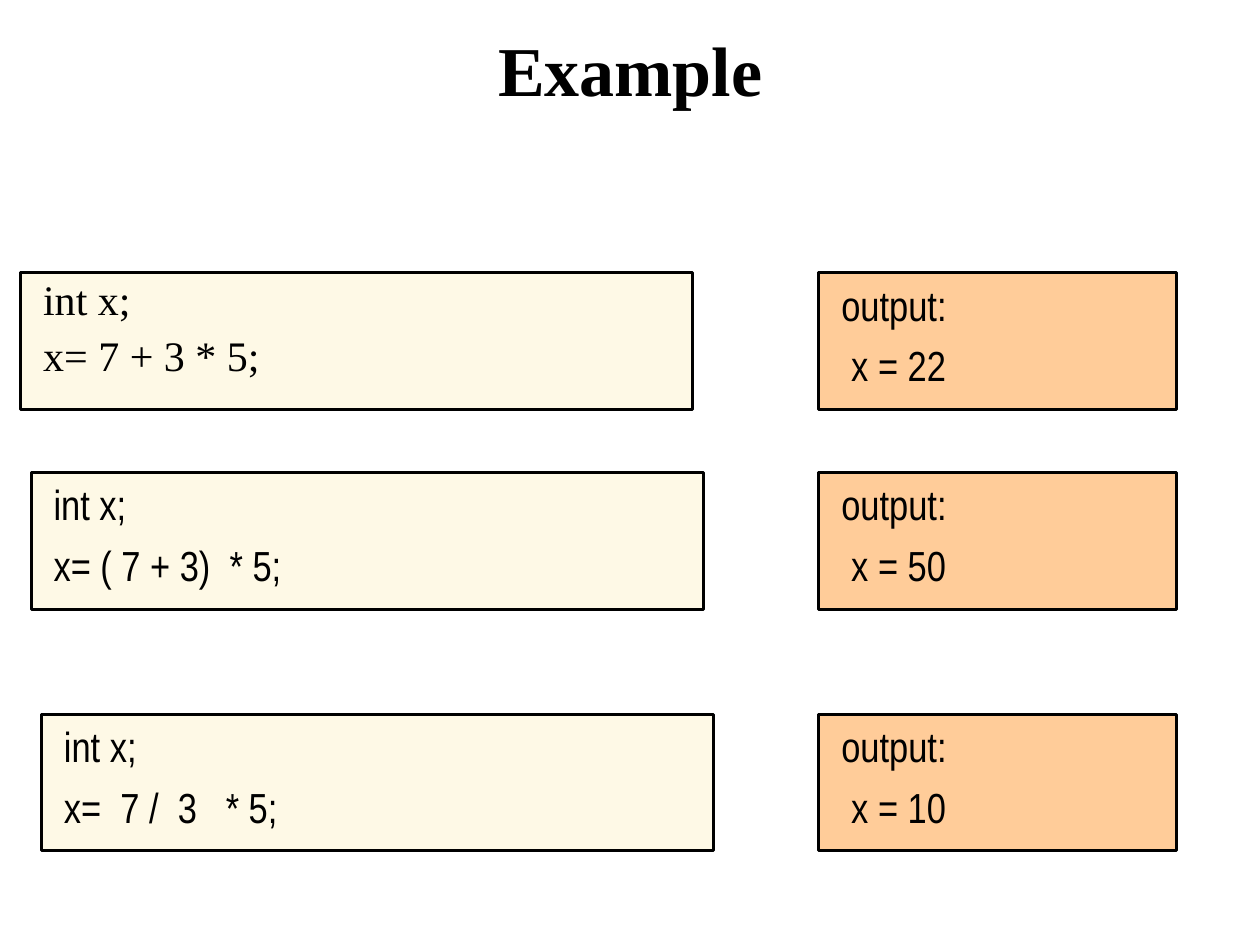
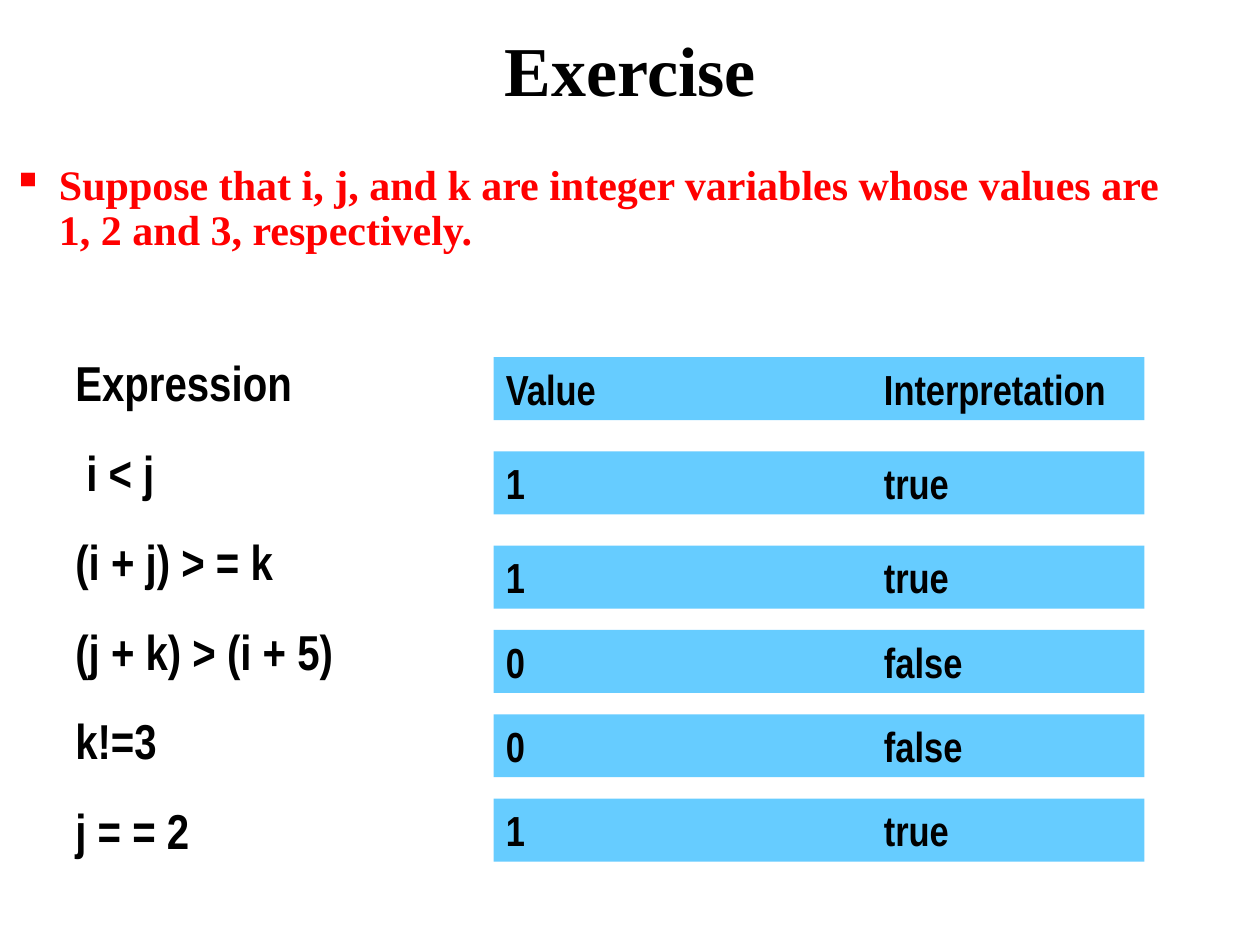
"""Build two slides on C operators: worked samples and an exercise."""
from itertools import accumulate

from lxml.etree import SubElement as Sub
from pptx import Presentation
from pptx.dml.color import RGBColor as Rgb
from pptx.enum.shapes import MSO_SHAPE as Shape
from pptx.enum.text import MSO_ANCHOR as Anchor, PP_ALIGN as Align
from pptx.oxml.ns import qn
from pptx.util import Cm, Pt

HUES = {"ink": "000000", "code": "FEF9E6", "result": "FFCC99",
        "row": "66CCFF", "alert": "FF0000"}
SERIF, NARROW = "Times New Roman", "Arial Narrow"
HEAD = {"name": SERIF, "size": Pt(40), "bold": True}
PLAIN = {"name": NARROW, "size": Pt(24), "bold": False}
STRONG = {**PLAIN, "bold": True}
TITLE_BOX = (0.64, 0, 24.13, 2.75)
PAD = 0.2


def tint(hue):
    """Return the named colour."""
    return Rgb.from_string(HUES[hue])


def apply(item, look):
    """Set each format value on the item."""
    for key, value in look.items():
        setattr(item, key, value)


def write(frame, lines, font, hue="ink", gap=0, lead=1.0, align=Align.LEFT,
          anchor=Anchor.TOP, indents=None, tab=None, mark=None):
    """Fill a frame with lines in one style."""
    apply(frame, {"word_wrap": True, "vertical_anchor": anchor})
    for i, line in enumerate(lines):
        para = frame.paragraphs[0] if i == 0 else frame.add_paragraph()
        apply(para, {"alignment": align, "line_spacing": lead,
                     "space_before": Pt(gap if i else 0)})
        props = para._p.get_or_add_pPr()
        if indents:
            props.set("marL", str(Cm(indents[i])))
        if mark:
            props.set("indent", str(-Cm(indents[i])))
            Sub(Sub(props, qn("a:buClr")), qn("a:srgbClr"), val=HUES[hue])
            Sub(props, qn("a:buChar"), char=mark)
        if tab:
            stops = Sub(props, qn("a:tabLst"))
            Sub(stops, qn("a:tab"), pos=str(Cm(tab)), algn="l")
        run = para.add_run()
        run.text = line
        apply(run.font, font)
        run.font.color.rgb = tint(hue)


def label(slide, box, lines, font, **style):
    """Add a text box."""
    area = slide.shapes.add_textbox(*map(Cm, box))
    write(area.text_frame, lines, font, **style)


def panel(slide, box, fill, lines, font, edge=None, **style):
    """Add a filled box of text, with an edge if one is given."""
    area = slide.shapes.add_shape(Shape.RECTANGLE, *map(Cm, box))
    area.shadow.inherit = False
    area.fill.solid()
    area.fill.fore_color.rgb = tint(fill)
    if edge:
        area.line.color.rgb = tint("ink")
        area.line.width = Pt(edge)
    else:
        area.line.fill.background()
    write(area.text_frame, lines, font, **style)


def start(deck, title):
    """Add a blank slide with its title."""
    slide = deck.slides.add_slide(deck.slide_layouts[6])
    label(slide, TITLE_BOX, [title], HEAD, align=Align.CENTER, anchor=Anchor.MIDDLE)
    return slide


def sample(slide, box, shift, code, result, font, lead):
    """Place a code panel and its output panel in the box."""
    left, top, width, height = box
    panel(slide, (left + shift, top, 13.55, height), "code", ["int x;", code],
          font, edge=1.75, gap=6, lead=lead, indents=(PAD, PAD))
    panel(slide, (left + width - 7.2, top, 7.2, height), "result",
          ["output:", f"x = {result}"], PLAIN, edge=1.75, gap=6,
          indents=(PAD, 2 * PAD))


def answers(slide, box, rows, steps):
    """Stack the answer bands down the box, one step apart."""
    left, top, width, height = box
    for pair, down in zip(rows, accumulate(steps, initial=0)):
        panel(slide, (left, top + down, width, height), "row",
              ["\t".join(pair)], STRONG, tab=7.62)


def example(deck):
    """Build the slide of worked samples."""
    slide = start(deck, "Example")
    samples = [(5.5, "x= 7 + 3 * 5;", 22, SERIF, 0.9),
               (9.53, "x= ( 7 + 3)  * 5;", 50, NARROW, 1.0),
               (14.4, "x=  7 /  3   * 5;", 10, NARROW, 1.0)]
    for i, (top, code, result, face, lead) in enumerate(samples):
        sample(slide, (0.42, top, 23.29, 2.75), 0.21 * i, code, result,
               {**PLAIN, "name": face}, lead)


def drill(deck):
    """Build the exercise slide."""
    slide = start(deck, "Exercise")
    task = ("Suppose that i, j, and k are integer variables whose values are "
            "1, 2 and 3, respectively.")
    label(slide, (0, 3.18, 23.92, 2.44), [task], {**STRONG, "name": SERIF},
          hue="alert", lead=0.9, indents=(0.94,), mark="▪")
    terms = ["Expression", "i < j", "(i + j) > = k", "(j + k) > (i + 5)",
             "k!=3", "j = = 2"]
    label(slide, (1.27, 6.99, 8.47, 10.48), terms, {**STRONG, "size": Pt(28)},
          gap=17.5, indents=(0, 0.22, 0, 0, 0, 0))
    rows = [("Value", "Interpretation"), ("1", "true"), ("1", "true"),
            ("0", "false"), ("0", "false"), ("1", "true")]
    answers(slide, (9.95, 7.2, 13.12, 1.27), rows, [1.9] * 2 + [1.7] * 3)


def main():
    """Build and save the deck."""
    deck = Presentation()
    apply(deck, {"slide_width": Cm(25.4), "slide_height": Cm(19.05)})
    example(deck)
    drill(deck)
    deck.save("out.pptx")


if __name__ == "__main__":
    main()
